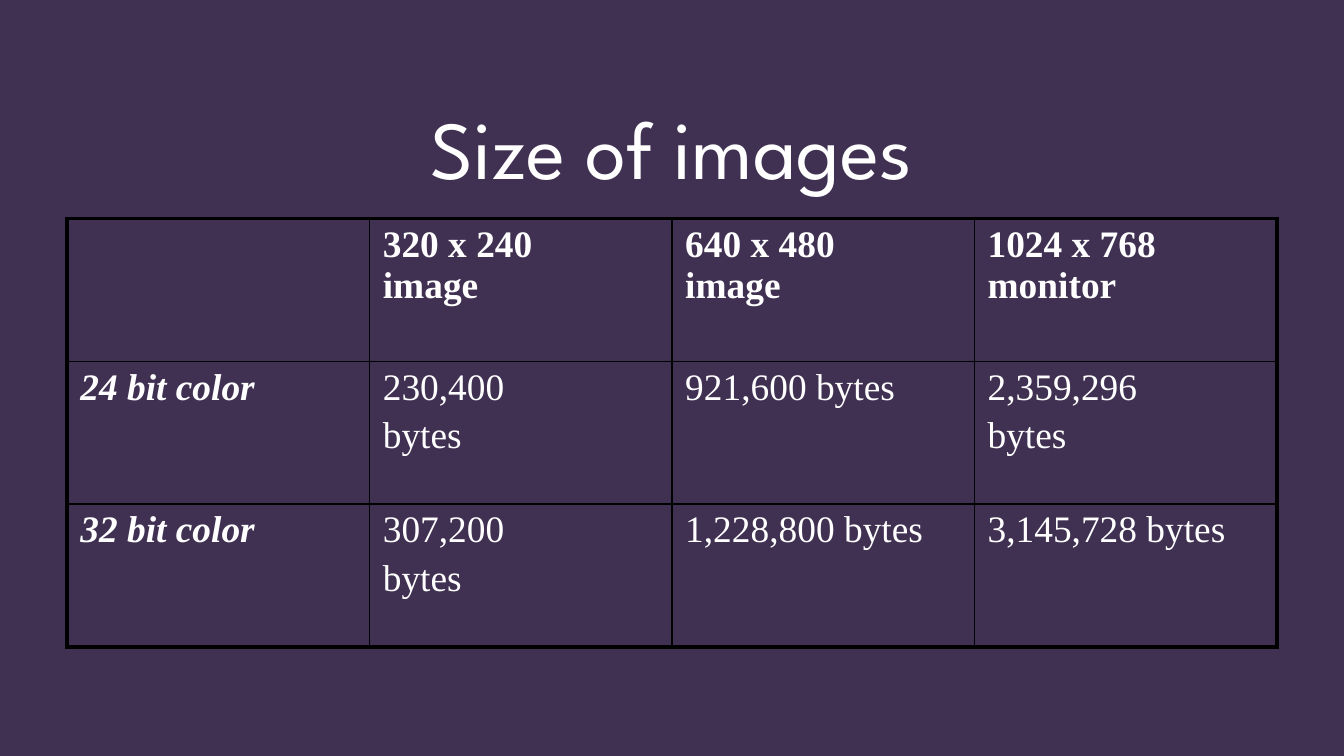
from dataclasses import dataclass

from lxml import etree
from pptx import Presentation
from pptx.dml.color import RGBColor
from pptx.enum.text import MSO_ANCHOR, PP_ALIGN
from pptx.oxml.ns import qn
from pptx.util import Cm, Pt

CENTER = PP_ALIGN.CENTER
LEFT = PP_ALIGN.LEFT
MIDDLE = MSO_ANCHOR.MIDDLE
BLANK_LAYOUT = 6


@dataclass(frozen=True)
class Theme:
    background: str = "403152"
    text: str = "FFFFFF"
    border: str = "000000"
    title_font: str = "League Spartan"
    table_font: str = "Times New Roman"
    title_size: int = 44
    table_size: int = 20
    paragraph_gap: int = 4
    outer_line: float = 2.25
    inner_line: float = 1


class SlideBuilder:
    def __init__(self, presentation, theme):
        self.theme = theme
        self.slide = presentation.slides.add_slide(presentation.slide_layouts[BLANK_LAYOUT])
        fill = self.slide.background.fill
        fill.solid()
        fill.fore_color.rgb = RGBColor.from_string(theme.background)

    def set_text(self, text_frame, text, alignment, font_format):
        """Fill a frame; a newline starts a paragraph, a vertical tab breaks a line."""
        text_frame.word_wrap = True
        text_frame.text = text
        for index, paragraph in enumerate(text_frame.paragraphs):
            paragraph.alignment = alignment
            if index:
                paragraph.space_before = Pt(self.theme.paragraph_gap)
            for run in paragraph.runs:
                for name, value in font_format.items():
                    setattr(run.font, name, value)
                run.font.color.rgb = RGBColor.from_string(self.theme.text)

    def title(self, text, left, top, width, height):
        shape = self.slide.shapes.add_textbox(left, top, width, height)
        shape.text_frame.vertical_anchor = MIDDLE
        self.set_text(shape.text_frame, text, CENTER,
                      {"name": self.theme.title_font, "size": Pt(self.theme.title_size)})

    def border(self, cell, side, width):
        properties = cell._tc.get_or_add_tcPr()
        line = etree.SubElement(properties, qn(f"a:ln{side}"), w=str(Pt(width)))
        fill = etree.SubElement(line, qn("a:solidFill"))
        etree.SubElement(fill, qn("a:srgbClr"), val=self.theme.border)

    def table(self, rows, left, top, width, height):
        theme = self.theme
        last_row, last_column = len(rows) - 1, len(rows[0]) - 1
        table = self.slide.shapes.add_table(
            len(rows), len(rows[0]), left, top, width, height).table
        table.first_row = table.horz_banding = False
        margins = {"margin_left": Cm(0.25), "margin_right": Cm(0.25),
                   "margin_top": Cm(0.1), "margin_bottom": Cm(0.1)}
        for row, texts in enumerate(rows):
            for column, text in enumerate(texts):
                cell = table.cell(row, column)
                for name, value in margins.items():
                    setattr(cell, name, value)

                # Heavy frame outside, thin grid inside
                outer_sides = {"L": column == 0, "R": column == last_column,
                               "T": row == 0, "B": row == last_row}
                for side, is_outer in outer_sides.items():
                    self.border(cell, side, theme.outer_line if is_outer else theme.inner_line)
                cell.fill.background()

                # Bold headings, with row headings also in italics
                self.set_text(cell.text_frame, text, LEFT, {
                    "name": theme.table_font, "size": Pt(theme.table_size),
                    "bold": row == 0 or column == 0,
                    "italic": row > 0 and column == 0})


def main():
    presentation = Presentation()
    presentation.slide_width, presentation.slide_height = Cm(25.4), Cm(14.29)
    builder = SlideBuilder(presentation, Theme())

    # Title
    builder.title("Size of images", Cm(1.27), Cm(1.59), Cm(22.86), Cm(2.38))

    # Image sizes by colour depth
    builder.table([
        ["", "320 x 240\vimage", "640 x 480\vimage", "1024 x 768\vmonitor"],
        ["24 bit color", "230,400\nbytes", "921,600 bytes", "2,359,296\nbytes"],
        ["32 bit color", "307,200\nbytes", "1,228,800 bytes", "3,145,728 bytes"],
    ], Cm(1.27), Cm(4.13), Cm(22.86), Cm(8.1))

    presentation.save("out.pptx")


if __name__ == "__main__":
    main()
